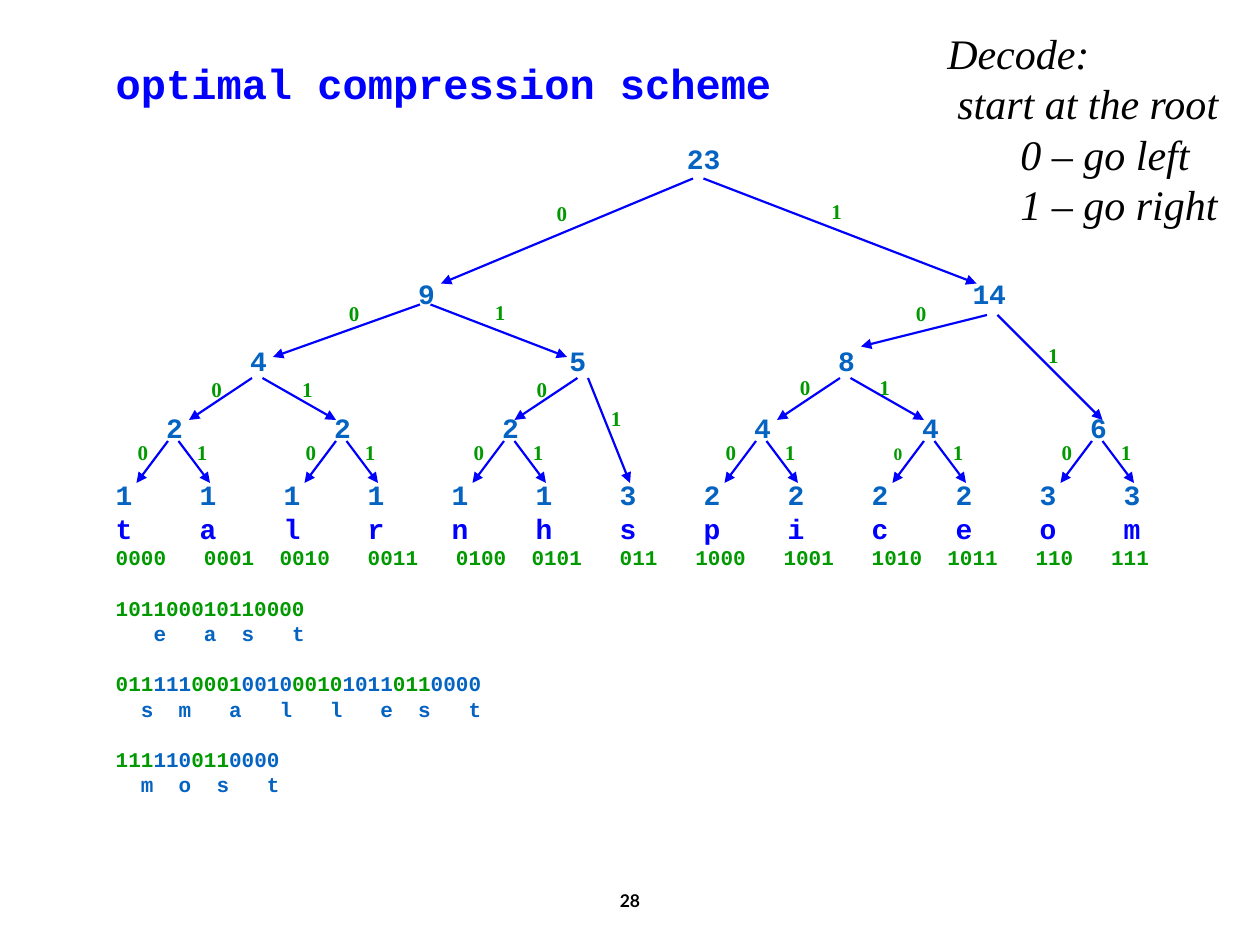
"""Build the slide on decoding with an optimal compression tree."""
from lxml.etree import SubElement
from pptx import Presentation
from pptx.dml.color import RGBColor
from pptx.enum.shapes import MSO_CONNECTOR
from pptx.enum.text import MSO_ANCHOR, PP_ALIGN
from pptx.oxml.ns import qn
from pptx.util import Inches, Pt

COLORS = {"blue": "0000FF", "node": "0563C1", "code": "009900", "black": "000000"}
MONO, SERIF = "Courier New", "Times New Roman"
LEADING = 1.2
GRID = 1 / 12

deck = Presentation()
deck.slide_width, deck.slide_height = Inches(10), Inches(7.5)
slide = deck.slides.add_slide(deck.slide_layouts[6])


def add_frame(left, top, width, height, wrap=False):
    frame = slide.shapes.add_textbox(
        Inches(left), Inches(top), Inches(width), Inches(height)).text_frame
    frame.word_wrap = wrap
    return frame


def add_line(frame, parts, font, size, color, blanks=0, stops=(), indent=0):
    line = frame.paragraphs[0]
    if line.runs:
        line = frame.add_paragraph()
    line.line_spacing = Pt(size * LEADING)
    line.space_before = Pt(blanks * size * LEADING)
    properties = line._p.get_or_add_pPr()
    if indent:
        properties.set("marL", str(Inches(indent)))
        properties.set("indent", "0")
    if stops:
        tabs = SubElement(properties, qn("a:tabLst"))
        for stop in stops:
            SubElement(tabs, qn("a:tab"), pos=str(Pt(stop * size * 0.6)), algn="l")
    line.font.name, line.font.size, line.font.bold = font, Pt(size), True
    line.font.color.rgb = RGBColor.from_string(COLORS[color])
    for text, part_color in parts:
        run = line.add_run()
        run.text = text
        if part_color != color:
            run.font.color.rgb = RGBColor.from_string(COLORS[part_color])
    return line


page_number = add_frame(3.31, 6.95, 3.38, 0.4, wrap=True)
page_number.vertical_anchor = MSO_ANCHOR.MIDDLE
add_line(page_number, [("28", "black")], "Lato", 10, "black").alignment = PP_ALIGN.CENTER

codes = {"t": "0000", "a": "0001", "l": "0010", "r": "0011", "n": "0100",
         "h": "0101", "s": "011", "p": "1000", "i": "1001", "c": "1010",
         "e": "1011", "o": "110", "m": "111"}
leaf_columns = range(0, 65, 5)
code_columns = [0, 7, 13, 20, 27, 33, 40, 46, 53, 60, 66, 73, 79]
tree_rows = [
    (16, "node", 1, [34], ["23"]),
    (16, "node", 3, [18, 51], ["9", "14"]),
    (16, "node", 1, [8, 27, 43], "458"),
    (16, "node", 1, [3, 13, 23, 38, 48, 58], "222446"),
    (16, "node", 1, leaf_columns, "1111113222233"),
    (16, "blue", 0, leaf_columns, codes),
    (12, "code", 0, code_columns, codes.values()),
]

scheme = add_frame(0.82, 0.41, 9.02, 5.97, wrap=True)
add_line(scheme, [("optimal compression scheme", "blue")], MONO, 24, "blue")
for size, color, blanks, columns, labels in tree_rows:
    text = "\t".join(labels)
    if columns[0]:
        text = "\t" + text
    stops = [column for column in columns if column]
    add_line(scheme, [(text, color)], MONO, size, color, blanks, stops)

for word, shades in [("east", ["code"]), ("smallest", ["code", "node"]),
                     ("most", ["code", "node"])]:
    bits = [(codes[letter], shades[place % len(shades)])
            for place, letter in enumerate(word)]
    last_bits = [sum(len(codes[letter]) for letter in word[:place + 1]) - 1
                 for place in range(len(word))]
    add_line(scheme, bits, MONO, 12, "code", blanks=1)
    add_line(scheme, [("\t" + "\t".join(word), "node")], MONO, 12, "node", stops=last_bits)

leaf_parents = [16, 32, 48, 72, 88, 104]
branches = [
    (24, 36, 18, 40), (25, 36, 32, 40), (55, 36, 49, 40), (56, 36, 60, 46),
    (80, 36, 74, 40), (81, 36, 88, 40), (40, 29, 26, 34), (41, 29, 54, 34),
    (94, 30, 82, 33), (95, 30, 105, 40), (66, 17, 42, 27), (67, 17, 93, 27),
]
for x in leaf_parents:
    branches += [(x, 42, x - 3, 46), (x + 1, 42, x + 4, 46)]
for branch in branches:
    arrow = slide.shapes.add_connector(
        MSO_CONNECTOR.STRAIGHT, *[Inches(step * GRID) for step in branch])
    arrow.line.color.rgb = RGBColor.from_string(COLORS["blue"])
    arrow.line.width = Pt(1.25)
    SubElement(arrow.line._get_or_add_ln(), qn("a:tailEnd"), type="triangle")
    SubElement(arrow._element.spPr, qn("a:effectLst"))

branch_bits = [
    ("0", 4.32, 1.54), ("0", 2.67, 2.34), ("0", 1.58, 2.94), ("0", 4.16, 2.94),
    ("0", 6.25, 2.92), ("0", 7.17, 2.34), ("1", 2.3, 2.94), ("1", 4.75, 3.17),
    ("1", 8.22, 2.67), ("1", 6.88, 2.92), ("1", 6.5, 1.53), ("1", 3.83, 2.33),
]
for x in leaf_parents:
    branch_bits += [("0", x * GRID - 0.34, 3.44), ("1", x * GRID + 0.13, 3.44)]
small_bit = ("0", 88 * GRID - 0.34, 3.44)
for bit in branch_bits:
    digit, left, top = bit
    size = 10 if bit == small_bit else 12
    drop = 0.03 if bit == small_bit else 0
    add_line(add_frame(left, top + drop, 0.28, 0.3 - drop),
             [(digit, "code")], SERIF, size, "code")

decode = add_frame(7.42, 0.17, 2.37, 1.7)
for text, indent in [("Decode:", 0), ("start at the root", 0.08),
                     ("0 – go left", 0.58), ("1 – go right", 0.58)]:
    step = add_line(decode, [(text, "black")], SERIF, 24, "black", indent=indent)
    step.font.bold, step.font.italic = False, True

deck.save("out.pptx")
